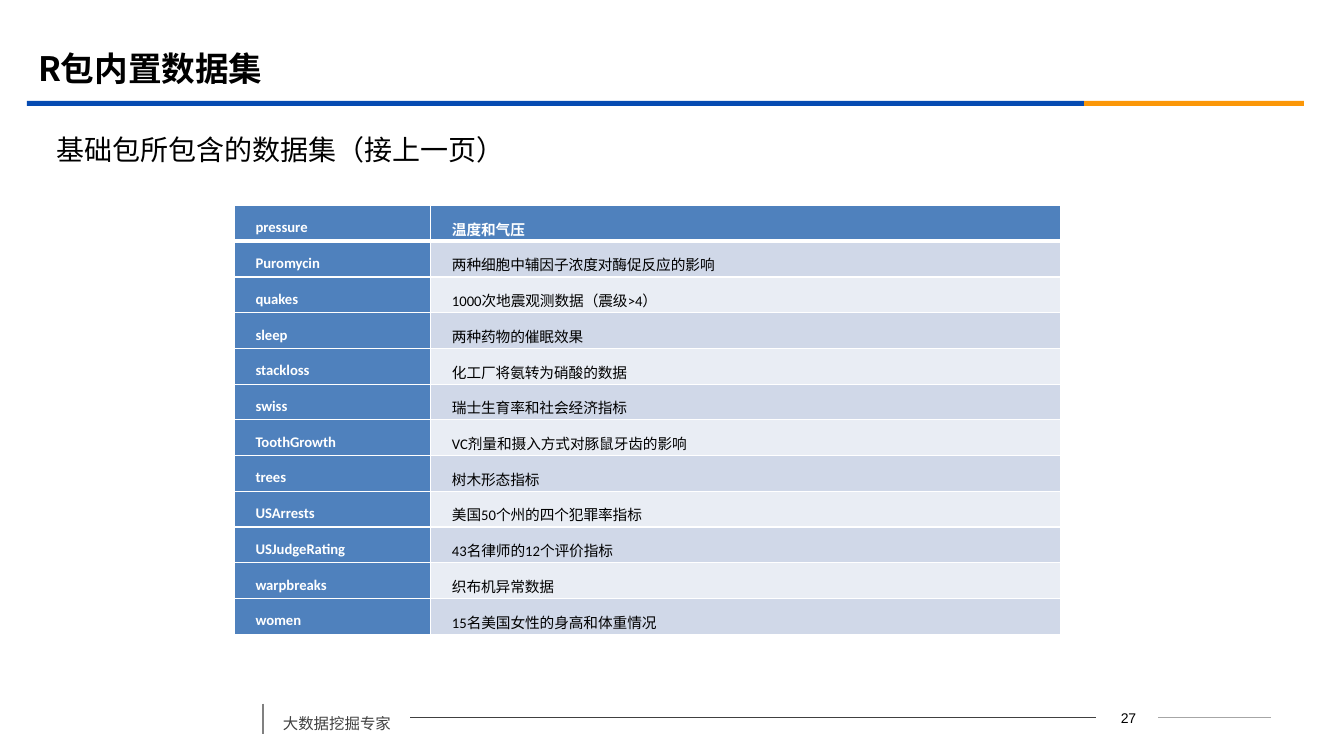
from collections import namedtuple

from lxml.etree import SubElement
from pptx import Presentation
from pptx.dml.color import RGBColor
from pptx.enum.shapes import MSO_CONNECTOR as Connector, MSO_SHAPE as Shape
from pptx.enum.text import MSO_ANCHOR as Anchor, PP_ALIGN as Align
from pptx.oxml.ns import qn
from pptx.util import Cm, Pt

BLACK = RGBColor(0x00, 0x00, 0x00)
WHITE = RGBColor(0xFF, 0xFF, 0xFF)
DARK_GREY = RGBColor(0x40, 0x40, 0x40)
MID_GREY = RGBColor(0x80, 0x80, 0x80)
LIGHT_GREY = RGBColor(0xA6, 0xA6, 0xA6)
RULE_BLUE = RGBColor(0x06, 0x4B, 0xB2)
RULE_ORANGE = RGBColor(0xFB, 0x97, 0x08)
HEAD_FILL = RGBColor(0x4F, 0x81, 0xBD)
BAND_FILLS = (RGBColor(0xE9, 0xED, 0xF4), RGBColor(0xD0, 0xD8, 0xE8))

CJK = "Noto Sans CJK SC"
NAME_WIDTH = 4.95
DATASETS = [
    ("pressure", "温度和气压"),
    ("Puromycin", "两种细胞中辅因子浓度对酶促反应的影响"),
    ("quakes", "1000次地震观测数据（震级>4）"),
    ("sleep", "两种药物的催眠效果"),
    ("stackloss", "化工厂将氨转为硝酸的数据"),
    ("swiss", "瑞士生育率和社会经济指标"),
    ("ToothGrowth", "VC剂量和摄入方式对豚鼠牙齿的影响"),
    ("trees", "树木形态指标"),
    ("USArrests", "美国50个州的四个犯罪率指标"),
    ("USJudgeRating", "43名律师的12个评价指标"),
    ("warpbreaks", "织布机异常数据"),
    ("women", "15名美国女性的身高和体重情况"),
]

Box = namedtuple("Box", "left top width height")  # centimetres


def lengths(box):
    return [Cm(value) for value in box]


def write(frame, text, size, color=BLACK, font=CJK, bold=False,
          align=Align.LEFT, spacing=None, before=None, indent=None):
    para = frame.paragraphs[0]
    para.alignment = align
    para.line_spacing = spacing
    para.space_before = before
    if indent is not None:
        para._p.get_or_add_pPr().set("indent", str(indent))
    span = para.add_run()
    span.text = text
    span.font.size = Pt(size)
    span.font.bold = bold
    span.font.name = font
    span.font.color.rgb = color
    SubElement(span._r.get_or_add_rPr(), qn("a:ea"), typeface=CJK)


def add_text(page, box, text, size, anchor=Anchor.MIDDLE, **style):
    frame = page.shapes.add_textbox(*lengths(box)).text_frame
    frame.word_wrap = True
    frame.vertical_anchor = anchor
    write(frame, text, size, **style)


def add_bar(page, box, color):
    bar = page.shapes.add_shape(Shape.RECTANGLE, *lengths(box))
    bar.shadow.inherit = False
    bar.fill.solid()
    bar.fill.fore_color.rgb = color
    bar.line.fill.background()


def add_line(page, start, end, color, width):
    ends = [Cm(value) for value in (*start, *end)]
    line = page.shapes.add_connector(Connector.STRAIGHT, *ends)
    line.line.color.rgb = color
    line.line.width = Pt(width)
    SubElement(line._element.spPr, qn("a:effectLst"))


def add_heading(page, box):
    """Title above a two-coloured rule."""
    add_text(page, Box(box.left + 0.03, box.top, 30.48, 1.47),
             "R包内置数据集", 24, bold=True)
    blue_width, rule_height = 26.64, 0.13
    rule_top = box.top + box.height - rule_height
    add_bar(page, Box(box.left, rule_top, blue_width, rule_height), RULE_BLUE)
    add_bar(page, Box(box.left + blue_width, rule_top,
                      box.width - blue_width, rule_height), RULE_ORANGE)


def add_borders(cell, **widths):
    properties = cell._tc.get_or_add_tcPr()
    for side in "LRTB":
        width = Pt(widths.get(side, 1))
        border = SubElement(properties, qn(f"a:ln{side}"), w=str(width))
        fill = SubElement(border, qn("a:solidFill"))
        SubElement(fill, qn("a:srgbClr"), val=str(WHITE))


def fill_cell(cell, text, row, column):
    is_head = row == 0 or column == 0
    add_borders(cell, T=3 if row == 1 else 1, B=3 if row == 0 else 1)
    cell.fill.solid()
    cell.fill.fore_color.rgb = HEAD_FILL if is_head else BAND_FILLS[row % 2]
    cell.vertical_anchor = Anchor.MIDDLE
    cell.margin_left = cell.margin_right = Cm(0.18)
    cell.margin_top = cell.margin_bottom = 0
    write(cell.text_frame, text, 10.5, font="Calibri", bold=is_head,
          color=WHITE if is_head else BLACK, spacing=1.5, indent=Cm(0.36))


def add_datasets(page, box):
    table = page.shapes.add_table(len(DATASETS), 2, *lengths(box)).table
    table.columns[0].width = Cm(NAME_WIDTH)
    table.columns[1].width = Cm(box.width - NAME_WIDTH)
    for row, texts in enumerate(DATASETS):
        table.rows[row].height = Cm(box.height / len(DATASETS))
        for column, text in enumerate(texts):
            fill_cell(table.cell(row, column), text, row, column)


def add_footer(page, box):
    """Upright line, motto, long line, page number and short line."""
    middle = box.top + 0.36
    motto_left, motto_right = box.left + 0.25, box.left + 3.71
    number_left, number_right = box.left + 20.98, box.left + 22.56
    add_line(page, (box.left, box.top), (box.left, box.top + box.height),
             MID_GREY, 1.25)
    add_text(page, Box(motto_left, box.top - 0.1, motto_right - motto_left, 0.97),
             "大数据挖掘专家", 11, anchor=Anchor.TOP, color=DARK_GREY,
             spacing=1.5, before=Pt(6))
    add_line(page, (motto_right, middle), (number_right - 1.58, middle),
             DARK_GREY, 0.75)
    add_text(page, Box(number_left + 0.04, middle - 0.32,
                       number_right - number_left, 0.64),
             "27", 10, font="Arial", align=Align.CENTER)
    add_line(page, (number_right, middle), (box.left + box.width, middle),
             LIGHT_GREY, 0.75)


def main():
    deck = Presentation()
    deck.slide_width, deck.slide_height = Cm(33.87), Cm(19.05)
    page = deck.slides.add_slide(deck.slide_layouts[6])
    add_footer(page, Box(6.63, 17.73, 25.4, 0.76))
    add_heading(page, Box(0.68, 0.99, 32.18, 1.68))
    add_text(page, Box(1.17, 3.15, 30.86, 1.2),
             "基础包所包含的数据集（接上一页）", 20, before=Pt(4))
    add_datasets(page, Box(5.9, 5.18, 20.83, 10.8))
    deck.save("out.pptx")


if __name__ == "__main__":
    main()
